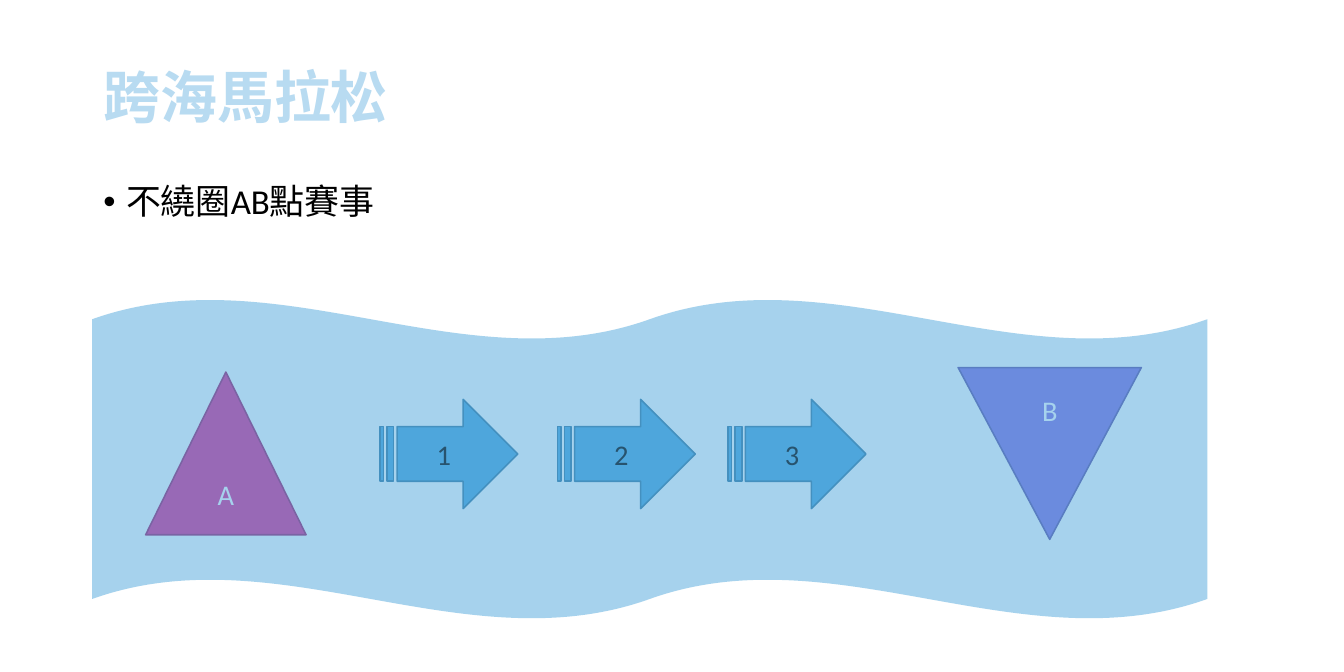
"""Build the sea-crossing marathon slide."""
from pptx import Presentation
from pptx.dml.color import RGBColor
from pptx.enum.shapes import MSO_SHAPE
from pptx.enum.text import MSO_ANCHOR, PP_ALIGN
from pptx.oxml.ns import qn
from pptx.util import Cm, Inches, Pt
from lxml.etree import SubElement

HUES = {
    "title": "B8DBF1", "black": "000000", "white": "FFFFFF",
    "pink": "E32D91", "wine": "A8216B", "blue": "4EA6DC", "navy": "3A7BA3",
    "violet": "8971E1", "plum": "6554A6",
}
LATIN, ASIAN = "Calibri", "Noto Sans CJK SC"
TITLE = "跨海馬拉松"
POINT = "不繞圈AB點賽事"
ENDS = [
    ("A", MSO_SHAPE.FLOWCHART_EXTRACT, (1.28, 3.27, 1.41, 1.43), "pink", "wine"),
    ("B", MSO_SHAPE.FLOWCHART_MERGE, (8.42, 3.23, 1.61, 1.51), "violet", "plum"),
]
STEPS = [("1", 3.34), ("2", 4.9), ("3", 6.4)]
WAVE = (0.81, 2.63, 9.8, 2.81)


def hue(name):
    return RGBColor.from_string(HUES[name])


def write(para, text, size, color, face=LATIN, bold=False):
    run = para.add_run()
    run.text = text
    font = run.font
    font.size, font.bold, font.name = Pt(size), bold, face
    font.color.rgb = hue(color)
    SubElement(font._element, qn("a:ea")).set("typeface", ASIAN)


def add_box(slide, area, anchor):
    frame = slide.shapes.add_textbox(*map(Inches, area)).text_frame
    frame.word_wrap = True
    frame.vertical_anchor = anchor
    para = frame.paragraphs[0]
    para.line_spacing = 0.9
    return para


def add_form(slide, kind, area, fill):
    form = slide.shapes.add_shape(kind, *map(Inches, area))
    form.shadow.inherit = False
    form.fill.solid()
    form.fill.fore_color.rgb = hue(fill)
    return form


def add_mark(slide, label, kind, area, fill, edge, ink):
    mark = add_form(slide, kind, area, fill)
    mark.line.color.rgb = hue(edge)
    mark.line.width = Pt(1)
    mark.text_frame.vertical_anchor = MSO_ANCHOR.MIDDLE
    para = mark.text_frame.paragraphs[0]
    para.alignment = PP_ALIGN.CENTER
    write(para, label, 18, ink)


def add_wave(slide):
    wave = add_form(slide, MSO_SHAPE.DOUBLE_WAVE, WAVE, "blue")
    wave.line.fill.background()
    tint = wave._element.spPr.find(qn("a:solidFill"))[0]
    SubElement(tint, qn("a:alpha")).set("val", "50000")


def main():
    deck = Presentation()
    deck.slide_width = Cm(30)
    deck.slide_height = Cm(15)
    slide = deck.slides.add_slide(deck.slide_layouts[6])

    head = add_box(slide, (0.81, 0.31, 10.19, 1.14), MSO_ANCHOR.MIDDLE)
    write(head, TITLE, 36, "title", ASIAN, True)

    body = add_box(slide, (0.81, 1.57, 10.19, 3.75), MSO_ANCHOR.TOP)
    props = body._p.get_or_add_pPr()
    props.set("marL", str(Inches(0.2)))
    props.set("indent", str(Inches(-0.2)))
    SubElement(props, qn("a:buFont")).set("typeface", "Arial")
    SubElement(props, qn("a:buChar")).set("char", "•")
    write(body, POINT, 22.1, "black")

    for label, kind, area, fill, edge in ENDS:
        add_mark(slide, label, kind, area, fill, edge, "white")
    for label, left in STEPS:
        add_mark(slide, label, MSO_SHAPE.STRIPED_RIGHT_ARROW,
                 (left, 3.51, 1.21, 0.96), "blue", "navy", "black")
    add_wave(slide)
    deck.save("out.pptx")


if __name__ == "__main__":
    main()
